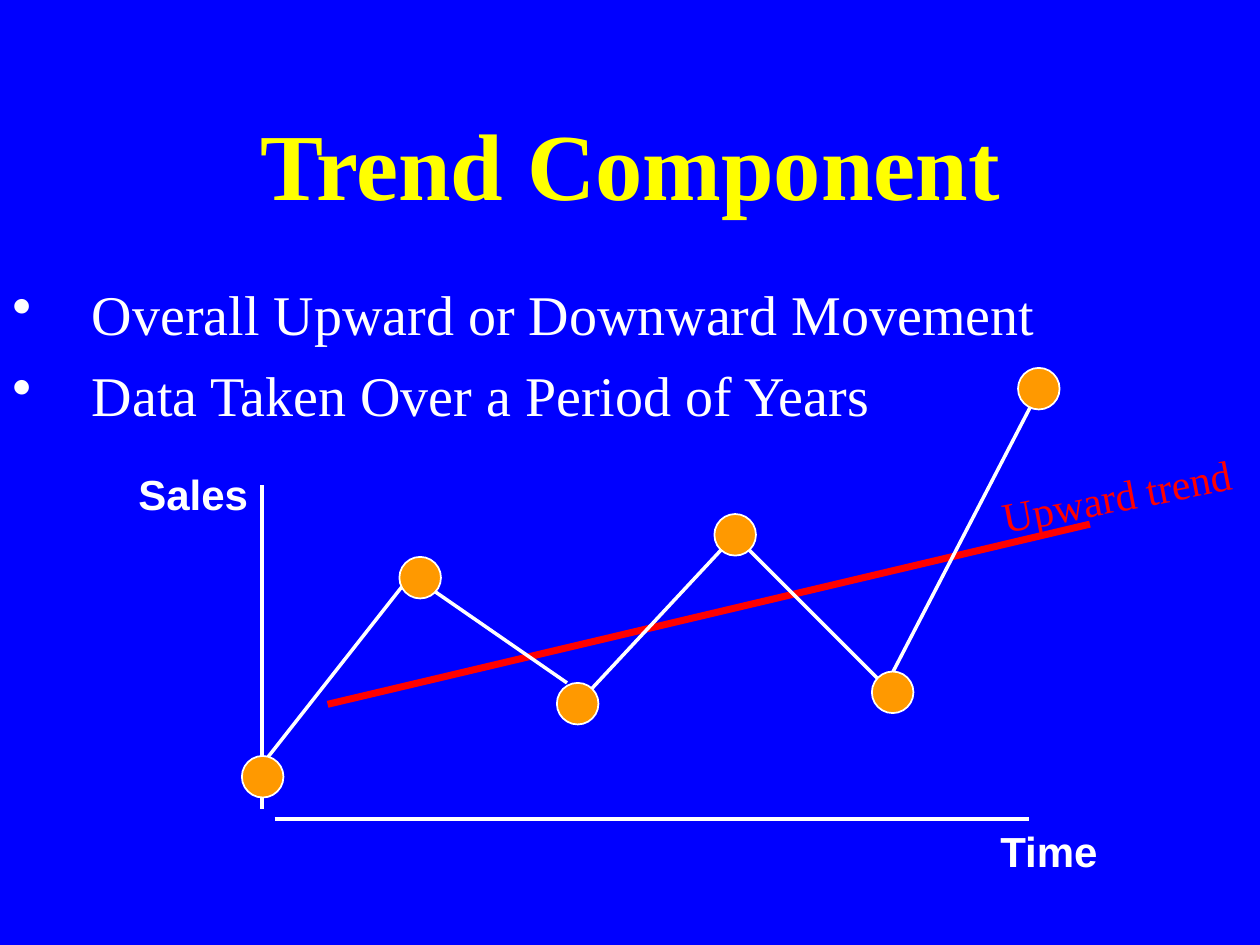
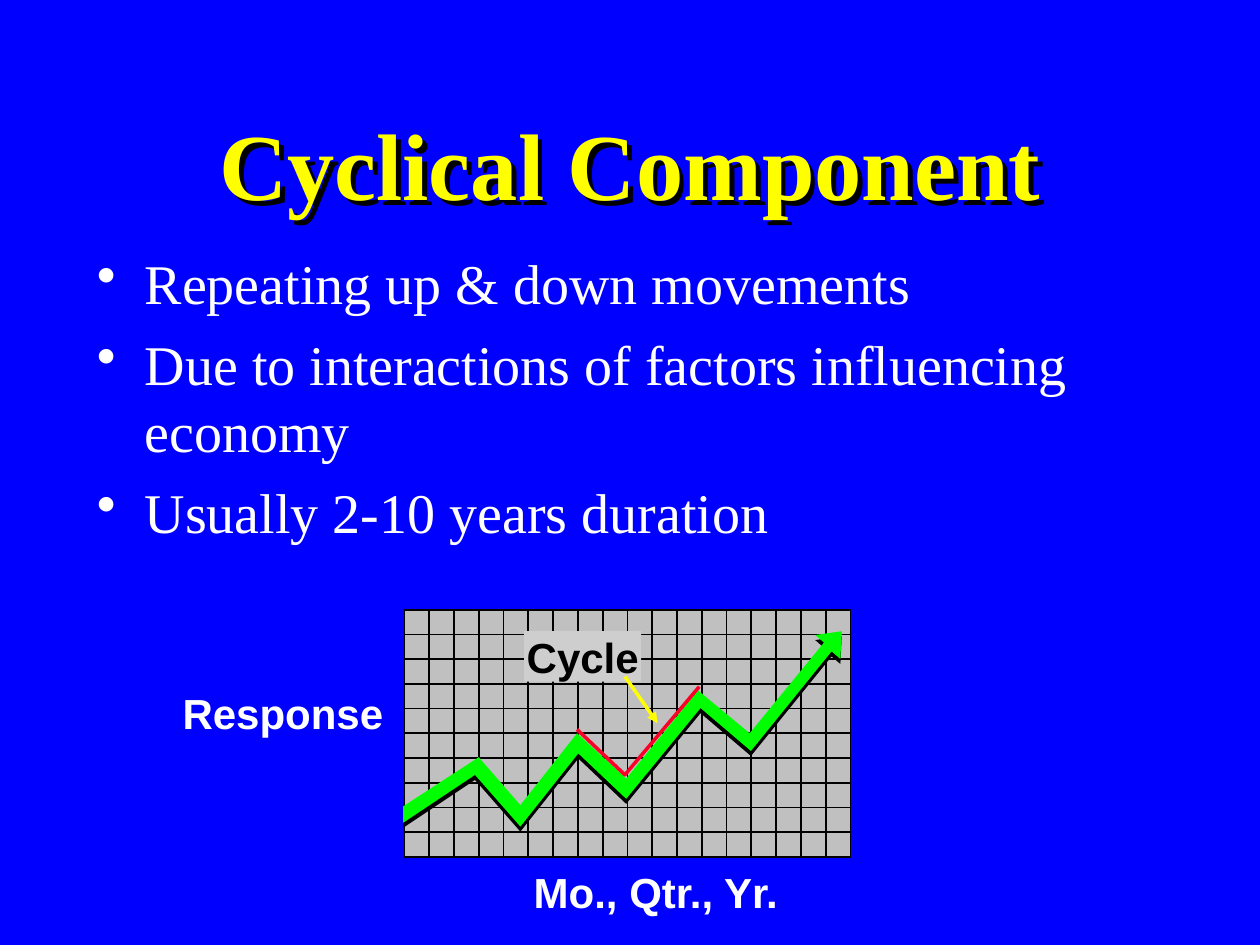
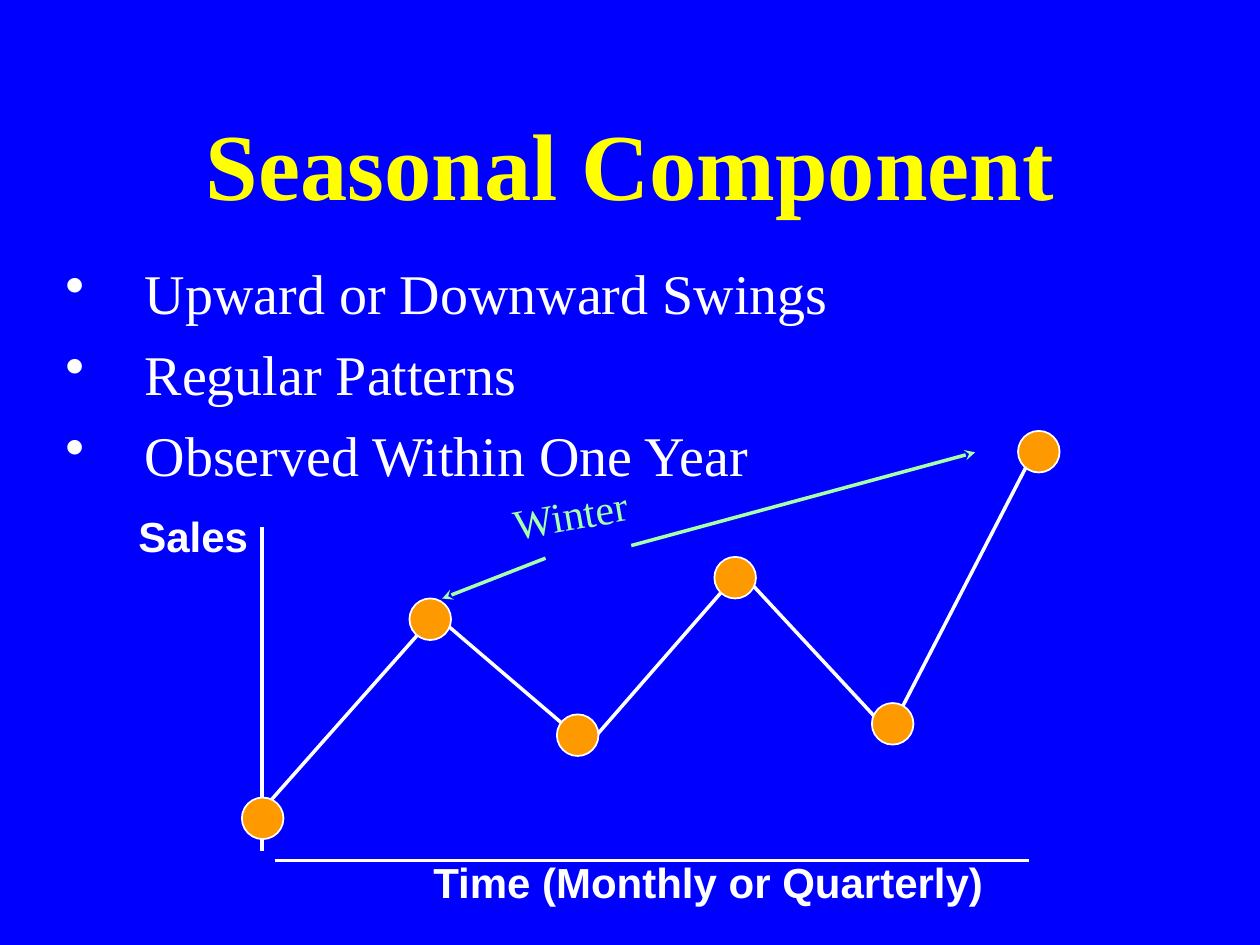
from lxml import etree
from pptx import Presentation, util as u
from pptx.dml.color import RGBColor
from pptx.enum import shapes, text
from pptx.oxml import ns

WIDE, HIGH = 10, 7.5
THEME = {
    "back": "0000FF", "ink": "FFFFFF", "title": "FFFF00", "dot": "FF9900",
    "trend": "FF0000", "winter": "A7FFA7", "grid": "000000", "board": "C0C0C0",
    "tag": "CECECE", "band": "00FF00", "cycle": "FC0128", "arrow": "FFFF00",
    "serif": "Times New Roman", "sans": "Arial",
    "head": 54, "body": 32, "note": 24, "gap": 8,
}
LABEL = {"font": THEME["sans"], "size": THEME["note"], "color": THEME["ink"], "bold": True}
SCRIPT = {**LABEL, "font": THEME["serif"], "bold": False}
TITLE = (0.75, 0.67, 8.5, 1.25)
DOT = 0.33

TREND = {
    "title": "Trend Component",
    "list": ["Overall Upward or Downward Movement", "Data Taken Over a Period of Years"],
    "box": (0, 2.17, 9.58, 4.5), "hang": 0.63,
    "base": 6.5,
    "time": ("Time", (7.84, 6.5, 1.58, 0.5)),
    "dots": [(1.92, 6), (3.17, 4.42), (4.42, 5.42), (5.67, 4.08), (6.92, 5.33), (8.08, 2.92)],
    "legs": [((2, 6.17), (3.25, 4.58)), ((3.43, 4.68), (4.5, 5.42)), ((4.59, 5.58), (5.83, 4.25)),
             ((5.93, 4.35), (7, 5.42)), ((7, 5.5), (8.25, 3.09))],
}
CYCLE = {
    "title": "Cyclical Component",
    "list": ["Repeating up & down movements",
             "Due to interactions of factors influencing economy",
             "Usually 2-10 years duration"],
    "box": (0.67, 1.92, 8.92, 4.5), "hang": 0.38,
    "labels": [("Mo., Qtr., Yr.", (3.99, 6.83, 2.43, 0.5)), ("Response", (1.24, 5.41, 2.01, 0.5))],
    "board": (3.21, 4.84, 3.54, 1.96), "cells": (18, 10),
    "band": [(3.2, 6.4), (3.8, 6.01), (4.13, 6.39), (4.58, 5.82), (4.97, 6.18), (5.54, 5.48),
             (5.95, 5.82), (6.54, 5.1), (6.47, 5.04), (6.68, 5.01), (6.67, 5.23), (6.6, 5.17),
             (5.96, 5.96), (5.56, 5.62), (4.97, 6.34), (4.59, 5.98), (4.13, 6.56), (3.77, 6.15),
             (3.2, 6.53)],
    "drop": 0.04,
    "tag": ("Cycle", (4.16, 5.01, 0.93, 0.4)),
    "mark": [(4.58, 5.79), (4.96, 6.15), (5.55, 5.45)],
    "arrow": ((4.96, 5.37), (5.22, 5.74)),
}
SEASON = {
    "title": "Seasonal Component",
    "list": ["Upward or Downward Swings", "Regular Patterns", "Observed Within One Year"],
    "box": (0.42, 2, 9.58, 4.5), "hang": 0.63,
    "base": 6.83,
    "time": ("Time (Monthly or Quarterly)", (3.34, 6.75, 4.91, 0.5)),
    "dots": [(1.92, 6.33), (3.25, 4.75), (4.42, 5.67), (5.67, 4.42), (6.92, 5.58), (8.08, 3.42)],
    "legs": [((2.09, 6.42), (3.42, 4.92)), ((3.5, 4.92), (4.67, 5.92)), ((4.67, 5.91), (5.83, 4.58)),
             ((5.84, 4.5), (7, 5.75)), ((7.09, 5.75), (8.25, 3.5))],
    "arrows": [((4.33, 4.43), (3.51, 4.75)), ((5.01, 4.33), (7.74, 3.59))],
}


def rgb(code):
    return RGBColor.from_string(code)


def inch(*nums):
    return [u.Inches(n) for n in nums]


def node(up, tag, **atts):
    return etree.SubElement(up, ns.qn(tag), {k: str(v) for k, v in atts.items()})


def place(shape, box):
    for name, size in zip(("left", "top", "width", "height"), inch(*box)):
        setattr(shape, name, size)


def style(run, font, size, color, bold=False):
    for name, value in {"name": font, "size": u.Pt(size), "bold": bold}.items():
        setattr(run.font, name, value)
    run.font.color.rgb = rgb(color)


def paint(shape, fill=None, edge=None, width=1):
    """Set fill and line; None leaves either out."""
    shape.shadow.inherit = False
    if fill:
        shape.fill.solid()
        shape.fill.fore_color.rgb = rgb(fill)
    else:
        shape.fill.background()
    if edge:
        shape.line.color.rgb = rgb(edge)
        shape.line.width = u.Pt(width)
    else:
        shape.line.fill.background()


def line(slide, ends, color=THEME["ink"], width=2, tip=None):
    (x1, y1), (x2, y2) = ends
    link = slide.shapes.add_connector(shapes.MSO_CONNECTOR.STRAIGHT, *inch(x1, y1, x2, y2))
    link.line.color.rgb = rgb(color)
    link.line.width = u.Pt(width)
    if tip:
        node(link.line._get_or_add_ln(), "a:tailEnd", type=tip)
    node(link._element.spPr, "a:effectLst")


def block(slide, kind, box, **look):
    shape = slide.shapes.add_shape(kind, *inch(*box))
    paint(shape, **look)
    return shape


def trace(slide, dots, close, **look):
    """Draw an outline through dots."""
    first, *rest = [inch(*dot) for dot in dots]
    pen = slide.shapes.build_freeform(*first)
    pen.add_line_segments(rest, close=close)
    paint(pen.convert_to_shape(), **look)


def label(slide, words, box, look=LABEL, align="LEFT", turn=0):
    shape = slide.shapes.add_textbox(*inch(*box))
    shape.rotation = turn
    shape.text_frame.word_wrap = True
    para = shape.text_frame.paragraphs[0]
    para.alignment = getattr(text.PP_ALIGN, align)
    run = para.add_run()
    run.text = words
    style(run, **look)


def bullets(slide, lines, box, hang):
    frame = slide.shapes.add_textbox(*inch(*box)).text_frame
    frame.word_wrap = True
    for i, words in enumerate(lines):
        para = frame.add_paragraph() if i else frame.paragraphs[0]
        para.space_before = u.Pt(THEME["gap"])
        run = para.add_run()
        run.text = words
        style(run, THEME["serif"], THEME["body"], THEME["ink"])
        props = para._p.get_or_add_pPr()
        props.set("marL", str(u.Inches(hang)))
        props.set("indent", str(-u.Inches(hang)))
        node(node(props, "a:buClr"), "a:srgbClr", val=THEME["ink"])
        node(props, "a:buChar", char="•")


def start(deck, data):
    """Add a slide with its title and bullet list."""
    slide = deck.slides.add_slide(deck.slide_layouts[5])
    title = slide.shapes.title
    place(title, TITLE)
    title.text = data["title"]
    frame = title.text_frame
    frame.auto_size = text.MSO_AUTO_SIZE.NONE
    frame.vertical_anchor = text.MSO_ANCHOR.MIDDLE
    para = frame.paragraphs[0]
    para.alignment = text.PP_ALIGN.CENTER
    style(para.runs[0], THEME["serif"], THEME["head"], THEME["title"], True)
    bullets(slide, data["list"], data["box"], data["hang"])
    return slide


def shade(shape):
    """Let the text of an unfilled shape cast a black shadow."""
    paint(shape)
    glow = shape._element.spPr.find(ns.qn("a:effectLst"))
    drop = node(glow, "a:outerShdw", dist=u.Pt(4), dir=2700000, algn="ctr", rotWithShape=0)
    node(drop, "a:srgbClr", val=THEME["grid"])


def axes(slide, data):
    base = data["base"]
    line(slide, ((2.08, base - 2.65), (2.08, base - 0.08)))
    line(slide, ((2.18, base), (8.17, base)))
    label(slide, "Sales", (1, base - 2.83, 1.58, 0.5))
    label(slide, *data["time"])


def series(slide, data):
    for ends in data["legs"]:
        line(slide, ends)
    for x, y in data["dots"]:
        block(slide, shapes.MSO_SHAPE.OVAL, (x, y, DOT, DOT), fill=THEME["dot"], edge=THEME["ink"])


def trend(deck):
    slide = start(deck, TREND)
    axes(slide, TREND)
    line(slide, ((2.6, 5.59), (8.65, 4.16)), THEME["trend"], 4)
    series(slide, TREND)
    label(slide, "Upward trend", (7.84, 3.67, 2.16, 0.5), {**SCRIPT, "color": THEME["trend"]}, turn=349)


def board(slide, box, cells):
    x, y, w, h = box
    cols, rows = cells
    block(slide, shapes.MSO_SHAPE.RECTANGLE, box, fill=THEME["board"], edge=THEME["grid"])
    for i in range(1, cols):
        at = x + w * i / cols
        line(slide, ((at, y), (at, y + h)), THEME["grid"], 1)
    for i in range(1, rows):
        at = y + h * i / rows
        line(slide, ((x, at), (x + w, at)), THEME["grid"], 1)


def cycle(deck):
    slide = start(deck, CYCLE)
    shade(slide.shapes.title)
    board(slide, CYCLE["board"], CYCLE["cells"])
    for drop, color in ((CYCLE["drop"], THEME["grid"]), (0, THEME["band"])):
        trace(slide, [(x, y + drop) for x, y in CYCLE["band"]], True, fill=color)
    for words, box in CYCLE["labels"]:
        label(slide, words, box, align="CENTER")
    words, box = CYCLE["tag"]
    tag = block(slide, shapes.MSO_SHAPE.RECTANGLE, box, fill=THEME["tag"])
    frame = tag.text_frame
    frame.word_wrap = False
    for side in ("left", "right", "top", "bottom"):
        setattr(frame, "margin_" + side, 0)
    frame.text = words
    frame.paragraphs[0].alignment = text.PP_ALIGN.CENTER
    style(frame.paragraphs[0].runs[0], **{**LABEL, "color": THEME["grid"]})
    trace(slide, CYCLE["mark"], False, edge=THEME["cycle"], width=2)
    line(slide, CYCLE["arrow"], THEME["arrow"], tip="triangle")


def season(deck):
    slide = start(deck, SEASON)
    axes(slide, SEASON)
    series(slide, SEASON)
    label(slide, "Winter", (3.67, 3.83, 1.71, 0.5), {**SCRIPT, "color": THEME["winter"]}, "CENTER", 350)
    for ends in SEASON["arrows"]:
        line(slide, ends, THEME["winter"], tip="stealth")


def main():
    deck = Presentation()
    deck.slide_width, deck.slide_height = inch(WIDE, HIGH)
    fill = deck.slide_master.background.fill
    fill.solid()
    fill.fore_color.rgb = rgb(THEME["back"])
    for build in (trend, cycle, season):
        build(deck)
    deck.save("out.pptx")


if __name__ == "__main__":
    main()
